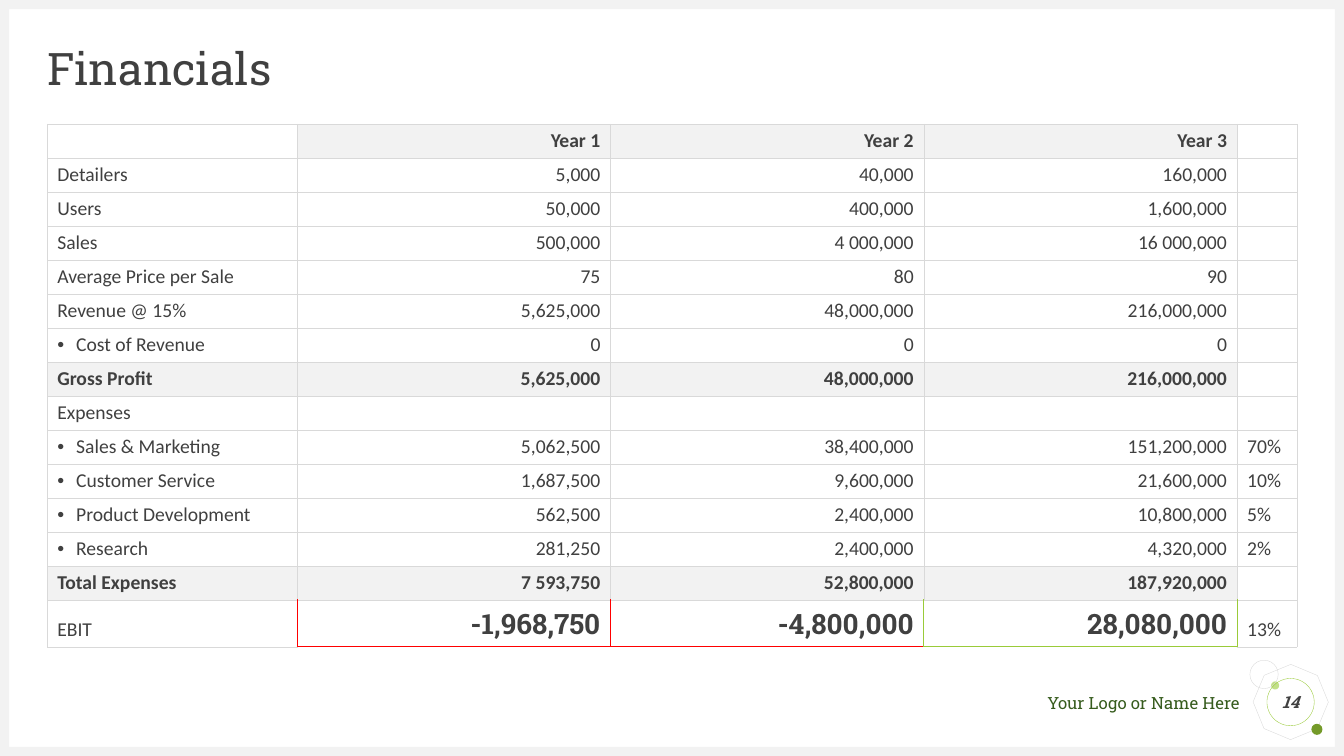
"""Build the Financials slide: a three-year table with a footer and page badge."""
from dataclasses import dataclass
from typing import Optional

from lxml.etree import SubElement
from pptx import Presentation
from pptx.dml.color import RGBColor
from pptx.enum.shapes import MSO_SHAPE
from pptx.enum.text import MSO_ANCHOR, MSO_AUTO_SIZE, PP_ALIGN
from pptx.oxml.ns import qn
from pptx.util import Pt

WHITE = RGBColor(0xFF, 0xFF, 0xFF)
PALE = RGBColor(0xF2, 0xF2, 0xF2)
GRID = RGBColor(0xD9, 0xD9, 0xD9)
INK = RGBColor(0x40, 0x40, 0x40)
RED = RGBColor(0xFF, 0x00, 0x00)
LIME = RGBColor(0x9A, 0xCB, 0x39)
LIGHT_LIME = RGBColor(0xC2, 0xE0, 0x88)
OLIVE = RGBColor(0x74, 0x9A, 0x29)
FOREST = RGBColor(0x37, 0x5C, 0x1E)

BODY, SLAB = "Calibri", "Roboto Slab"
WIDTH, HEIGHT, FRAME = 960, 540, 6.5
LEFT, TABLE_TOP = 33.7, 88.6
COLUMNS = (178.6, 223.8, 223.8, 223.8, 42.9)
HEADER_HEIGHT, ROW_HEIGHT, EBIT_HEIGHT = 23, 23.8, 30.2
BULLET_INDENT = 13.5
NO_STYLE = "{2D5ABB26-0587-4C30-8999-92F81FD0307C}"
THIN = (GRID, 0.25)


@dataclass(frozen=True)
class Row:
    label: str
    values: tuple[str, ...]
    share: str = ""
    bullet: bool = False
    strong: bool = False

    @property
    def cells(self) -> tuple[str, ...]:
        return (self.label, *self.values, self.share)


@dataclass(frozen=True)
class Figure:
    kind: MSO_SHAPE
    x: float
    y: float
    w: float
    h: float
    fill: Optional[RGBColor] = None
    line: Optional[RGBColor] = None
    rotation: float = 0


ROWS = (
    Row("", ("Year 1", "Year 2", "Year 3"), strong=True),
    Row("Detailers", ("5,000", "40,000", "160,000")),
    Row("Users", ("50,000", "400,000", "1,600,000")),
    Row("Sales", ("500,000", "4 000,000", "16 000,000")),
    Row("Average Price per Sale", ("75", "80", "90")),
    Row("Revenue @ 15%", ("5,625,000", "48,000,000", "216,000,000")),
    Row("Cost of Revenue", ("0", "0", "0"), bullet=True),
    Row("Gross Profit", ("5,625,000", "48,000,000", "216,000,000"), strong=True),
    Row("Expenses", ("", "", "")),
    Row("Sales & Marketing", ("5,062,500", "38,400,000", "151,200,000"), "70%", bullet=True),
    Row("Customer Service", ("1,687,500", "9,600,000", "21,600,000"), "10%", bullet=True),
    Row("Product Development", ("562,500", "2,400,000", "10,800,000"), "5%", bullet=True),
    Row("Research", ("281,250", "2,400,000", "4,320,000"), "2%", bullet=True),
    Row("Total Expenses", ("7 593,750", "52,800,000", "187,920,000"), strong=True),
    Row("EBIT", ("-1,968,750", "-4,800,000", "28,080,000"), "13%"),
)
TOTAL, EBIT = len(ROWS) - 2, len(ROWS) - 1

EBIT_BORDERS = (
    {"L": THIN, "R": (RED, 1), "T": THIN, "B": THIN},
    {"L": (RED, 1), "R": (RED, 1), "B": (RED, 1)},
    {"L": (RED, 1), "R": (LIME, 1), "B": (RED, 1)},
    {"L": (LIME, 1), "R": (LIME, 1), "B": (LIME, 1)},
    {"L": (LIME, 1), "R": THIN, "T": THIN, "B": THIN},
)

OCTAGON, OVAL, RECT = MSO_SHAPE.OCTAGON, MSO_SHAPE.OVAL, MSO_SHAPE.RECTANGLE
FIGURES = (
    Figure(OCTAGON, 897.1, 476.6, 49.7, 49.7, line=GRID, rotation=22.7),
    Figure(OVAL, 907.9, 486.7, 5.8, 5.8, fill=LIGHT_LIME),
    Figure(OVAL, 936.7, 517, 7.9, 7.9, fill=OLIVE),
    Figure(OVAL, 892.8, 471.6, 20.2, 20.2, line=GRID),
    Figure(RECT, 0, HEIGHT - FRAME, WIDTH, FRAME, fill=PALE),
    Figure(RECT, 0, 0, WIDTH, FRAME, fill=PALE),
    Figure(RECT, 0, 0, FRAME, HEIGHT, fill=PALE),
    Figure(RECT, WIDTH - FRAME, 0, FRAME, HEIGHT, fill=PALE),
)
BADGE = Figure(OVAL, 905, 484.6, 33.8, 33.8, line=LIME)


def write(tf, text: str, *, size: float = 14, font: str = BODY, color: RGBColor = INK,
          bold: bool = False, italic: bool = False, align=PP_ALIGN.LEFT,
          spacing: Optional[float] = None, bullet: bool = False) -> None:
    """Fill the first paragraph of a text frame."""
    p = tf.paragraphs[0]
    p.alignment = align
    if spacing:
        p.line_spacing = spacing
    if bullet:
        pPr = p._p.get_or_add_pPr()
        pPr.set("marL", str(Pt(BULLET_INDENT)))
        pPr.set("indent", str(-Pt(BULLET_INDENT)))
        SubElement(pPr, qn("a:buFont"), typeface="Arial")
        SubElement(pPr, qn("a:buChar"), char="•")
    if not text:
        SubElement(p._p, qn("a:endParaRPr"), sz=str(size * 100))
        return
    r = p.add_run()
    r.text = text
    r.font.size, r.font.name = Pt(size), font
    r.font.bold, r.font.italic = bold, italic
    r.font.color.rgb = color


def frame(tf, anchor: MSO_ANCHOR) -> None:
    """Remove insets, wrap the text and fix its anchor."""
    tf.margin_left = tf.margin_right = tf.margin_top = tf.margin_bottom = 0
    tf.word_wrap = True
    tf.auto_size = MSO_AUTO_SIZE.NONE
    tf.vertical_anchor = anchor


def draw(s, f: Figure):
    """Add one decorative shape."""
    sp = s.shapes.add_shape(f.kind, Pt(f.x), Pt(f.y), Pt(f.w), Pt(f.h))
    sp.shadow.inherit = False
    sp.rotation = f.rotation
    if f.fill is None:
        sp.fill.background()
    else:
        sp.fill.solid()
        sp.fill.fore_color.rgb = f.fill
    if f.line is None:
        sp.line.fill.background()
    else:
        sp.line.color.rgb = f.line
        sp.line.width = Pt(0.25)
    return sp


def cell_borders(row: int, col: int) -> dict:
    """Choose the edges of a cell."""
    if row == EBIT:
        return EBIT_BORDERS[col]
    edges = "LRT" if row == TOTAL and 1 <= col <= 3 else "LRTB"
    return {edge: THIN for edge in edges}


def set_borders(cell, borders: dict) -> None:
    """Write the edge lines of a cell."""
    tcPr = cell._tc.get_or_add_tcPr()
    for edge, (color, width) in borders.items():
        ln = SubElement(tcPr, qn(f"a:ln{edge}"), w=str(Pt(width)))
        SubElement(SubElement(ln, qn("a:solidFill")), qn("a:srgbClr"), val=str(color))


def add_financials(s) -> None:
    """Add the financial table."""
    heights = [HEADER_HEIGHT] + [ROW_HEIGHT] * (len(ROWS) - 2) + [EBIT_HEIGHT]
    gf = s.shapes.add_table(len(ROWS), len(COLUMNS), Pt(LEFT), Pt(TABLE_TOP),
                            Pt(sum(COLUMNS)), Pt(sum(heights)))
    table = gf.table
    table.first_row = table.horz_banding = False
    table._tbl.tblPr.find(qn("a:tableStyleId")).text = NO_STYLE
    for column, width in zip(table.columns, COLUMNS):
        column.width = Pt(width)
    for i, (row, height) in enumerate(zip(ROWS, heights)):
        table.rows[i].height = Pt(height)
        for j, text in enumerate(row.cells):
            cell = table.cell(i, j)
            is_value = 1 <= j <= 3
            is_result = is_value and i == EBIT
            shaded = row.strong and j < 4 and bool(text)
            set_borders(cell, cell_borders(i, j))
            cell.fill.solid()
            cell.fill.fore_color.rgb = PALE if shaded else WHITE
            cell.vertical_anchor = MSO_ANCHOR.BOTTOM
            write(cell.text_frame, text, size=20 if is_result else 14,
                  font=SLAB if is_result else BODY, bold=row.strong or is_result,
                  align=PP_ALIGN.RIGHT if is_value else PP_ALIGN.LEFT,
                  bullet=row.bullet and j == 0)


def main() -> None:
    """Build and save the slide."""
    prs = Presentation()
    prs.slide_width, prs.slide_height = Pt(WIDTH), Pt(HEIGHT)
    s = prs.slides.add_slide(prs.slide_layouts[5])
    for figure in FIGURES:
        draw(s, figure)
    footer = s.shapes.add_textbox(Pt(687.6), Pt(494.6), Pt(198), Pt(14.4)).text_frame
    frame(footer, MSO_ANCHOR.TOP)
    write(footer, "Your Logo or Name Here", size=12, font=SLAB, color=FOREST,
          align=PP_ALIGN.RIGHT)
    title = s.shapes.title
    title.left, title.top, title.width, title.height = Pt(LEFT), Pt(33.8), Pt(892.8), Pt(33.8)
    frame(title.text_frame, MSO_ANCHOR.MIDDLE)
    write(title.text_frame, "Financials", size=32, font=SLAB, spacing=0.9)
    add_financials(s)
    badge = draw(s, BADGE).text_frame
    frame(badge, MSO_ANCHOR.MIDDLE)
    write(badge, "14", size=12, font=SLAB, bold=True, italic=True, align=PP_ALIGN.CENTER)
    prs.save("out.pptx")


if __name__ == "__main__":
    main()
